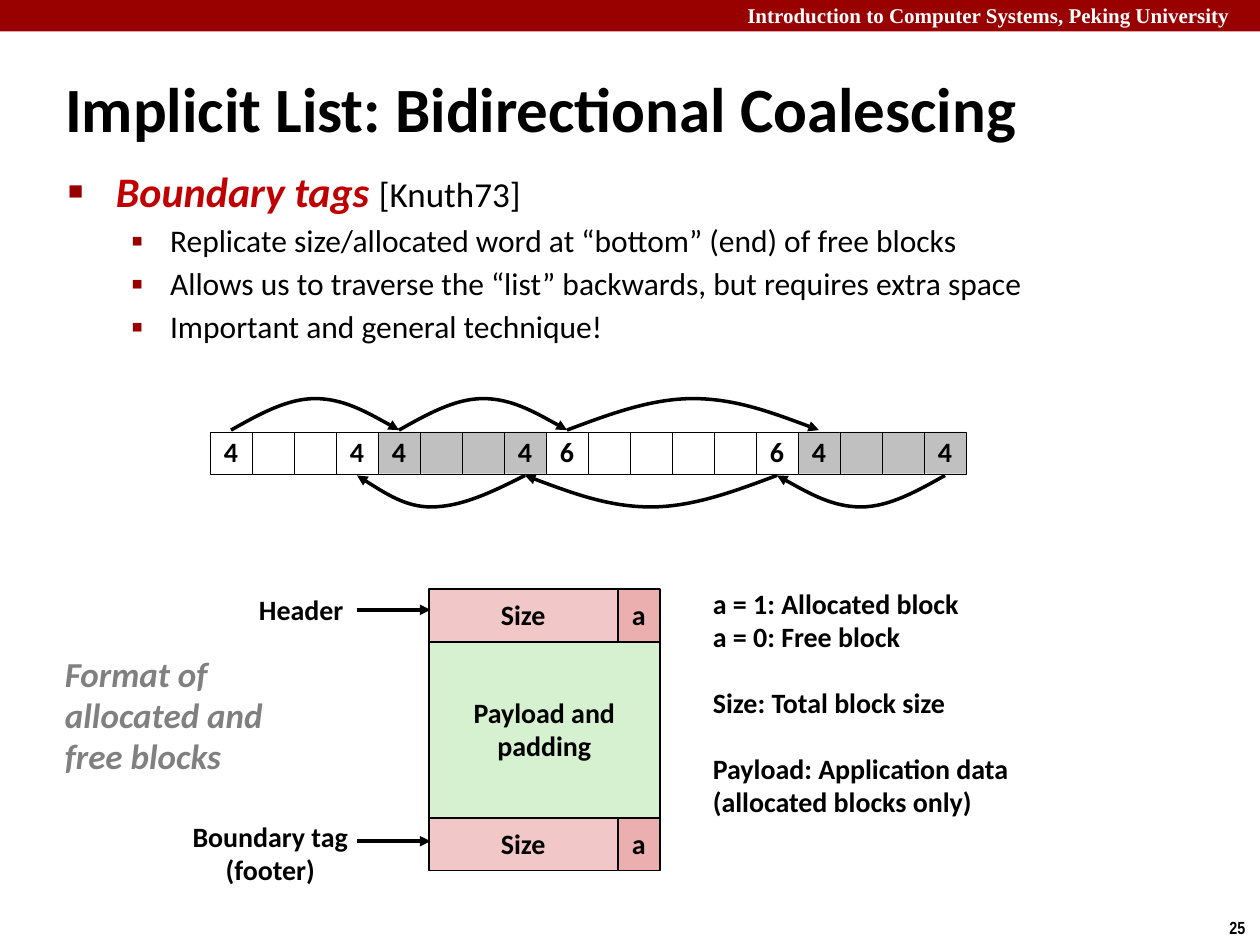
from dataclasses import dataclass

from lxml import etree
from pptx import Presentation
from pptx.dml.color import RGBColor
from pptx.enum.shapes import MSO_CONNECTOR, MSO_SHAPE
from pptx.enum.text import MSO_ANCHOR, MSO_AUTO_SIZE, PP_ALIGN
from pptx.oxml.ns import qn
from pptx.util import Inches, Pt

RECT, STRAIGHT = MSO_SHAPE.RECTANGLE, MSO_CONNECTOR.STRAIGHT
LEFT, CENTER = PP_ALIGN.LEFT, PP_ALIGN.CENTER
TOP, MIDDLE = MSO_ANCHOR.TOP, MSO_ANCHOR.MIDDLE
NO_FIT, GROW = MSO_AUTO_SIZE.NONE, MSO_AUTO_SIZE.SHAPE_TO_FIT_TEXT

BLACK = RGBColor(0x00, 0x00, 0x00)
WHITE = RGBColor(0xFF, 0xFF, 0xFF)
GRAY = RGBColor(0x80, 0x80, 0x80)
SILVER = RGBColor(0xC0, 0xC0, 0xC0)
DARK_RED = RGBColor(0x99, 0x00, 0x00)
RED = RGBColor(0xC0, 0x00, 0x00)
PINK = RGBColor(0xF1, 0xC7, 0xC7)
ROSE = RGBColor(0xEB, 0xAF, 0xAF)
GREEN = RGBColor(0xD5, 0xF1, 0xCF)

COLS = 30
LIST_COL, LIST_ROW = 5, 10.28
ARC_HEIGHT, ARC_GAP = 0.75, 0.04
FOOTER_PEAKS = (0.56, 0.5, 0.5)


@dataclass(frozen=True)
class Area:
    col: float
    row: float
    width: float
    height: float


@dataclass(frozen=True)
class Block:
    words: int
    fill: RGBColor


@dataclass(frozen=True)
class Field:
    text: str
    area: Area
    fill: RGBColor


@dataclass(frozen=True)
class Label:
    lines: tuple[str, ...]
    area: Area
    size: float = 16
    color: RGBColor = BLACK
    italic: bool = False
    align: int = LEFT
    spacing: float = 0.98
    font: str = "Calibri"
    gaps: tuple[int, ...] = ()


BLOCKS = [Block(4, WHITE), Block(4, SILVER), Block(6, WHITE), Block(4, SILVER)]
FIELDS = [
    Field("Size", Area(10.21, 14.03, 4.5, 1.25), PINK),
    Field("Payload and\npadding", Area(10.21, 15.28, 5.5, 4.22), GREEN),
    Field("a", Area(14.71, 14.03, 1, 1.25), ROSE),
    Field("Size", Area(10.21, 19.48, 4.5, 1.25), PINK),
    Field("a", Area(14.71, 19.48, 1, 1.25), ROSE),
]
MASTER_LABELS = [
    Label(("Introduction to Computer Systems, Peking University",),
          Area(17.5, -0.09, 12.72, 0.9), 12, WHITE, spacing=1, font="Times New Roman"),
    Label(("25",), Area(28.98, 21.69, 1.02, 0.81), 10, spacing=1, font="Arial Narrow"),
]
LABELS = [
    Label(("Format of", "allocated and", "free blocks"),
          Area(1.25, 15.43, 5.34, 3.27), 20, GRAY, italic=True),
    Label(("a = 1: Allocated block", "a = 0: Free block", "Size: Total block size",
           "Payload: Application data", "(allocated blocks only)"),
          Area(16.68, 13.86, 7.71, 6.66), gaps=(2, 3)),
    Label(("Header",), Area(5.87, 14.01, 2.64, 1.11)),
    Label(("Boundary tag", "(footer)"), Area(4.26, 19.4, 4.35, 1.89), align=CENTER),
]
POINTER_ROWS = (14.52, 20.03)
DETAILS = [
    "Replicate size/allocated word at “bottom” (end) of free blocks",
    "Allows us to traverse the “list” backwards, but requires extra space",
    "Important and general technique!",
]

prs = Presentation()
prs.slide_width, prs.slide_height = Inches(10), Inches(7.5)
s = prs.slides.add_slide(prs.slide_layouts[1])


def grid(n: float) -> int:
    return round(n * prs.slide_width / COLS)


def box(area: Area) -> tuple[int, ...]:
    return tuple(grid(n) for n in (area.col, area.row, area.width, area.height))


def place(sp, area: Area) -> None:
    sp.left, sp.top, sp.width, sp.height = box(area)


def add_text(p, text: str, *, size: float = 16, color: RGBColor = BLACK, bold: bool = True,
             italic: bool = False, font: str = "Calibri", align: int = LEFT,
             spacing: float = 0.98, before: float = 0) -> None:
    r = p.add_run()
    r.text = text
    r.font.name, r.font.size = font, Pt(size)
    r.font.bold, r.font.italic = bold, italic
    r.font.color.rgb = color
    p.alignment, p.line_spacing = align, spacing
    p.space_before, p.space_after = Pt(before), Pt(0)


def paragraph(tf, index: int):
    return tf.add_paragraph() if index else tf.paragraphs[0]


def add_bullet(p, char: str, percent: int, margin: float, hanging: float) -> None:
    pPr = p._p.get_or_add_pPr()
    pPr.set("marL", str(Inches(margin)))
    pPr.set("indent", str(-Inches(hanging)))
    color = etree.SubElement(pPr, qn("a:buClr"))
    etree.SubElement(color, qn("a:srgbClr"), val=str(DARK_RED))
    etree.SubElement(pPr, qn("a:buSzPct"), val=str(percent * 1000))
    etree.SubElement(pPr, qn("a:buChar"), char=char)


def add_box(shapes, area: Area, fill: RGBColor, line: float = 0, text: str = ""):
    sp = shapes.add_shape(RECT, *box(area))
    sp.shadow.inherit = False
    sp.fill.solid()
    sp.fill.fore_color.rgb = fill
    if line:
        sp.line.color.rgb, sp.line.width = BLACK, Pt(line)
    else:
        sp.line.fill.background()
    if text:
        tf = sp.text_frame
        tf.word_wrap, tf.vertical_anchor = False, MIDDLE
        for i, line_text in enumerate(text.split("\n")):
            add_text(paragraph(tf, i), line_text, align=CENTER)
    return sp


def add_label(label: Label):
    sp = s.shapes.add_textbox(*box(label.area))
    tf = sp.text_frame
    tf.word_wrap, tf.auto_size = False, GROW
    for i, text in enumerate(label.lines):
        add_text(paragraph(tf, i), text, size=label.size, color=label.color,
                 italic=label.italic, font=label.font, align=label.align,
                 spacing=label.spacing, before=19 if i in label.gaps else 0)
    return sp


def add_arrowhead(sp) -> None:
    sp.line.color.rgb, sp.line.width = BLACK, Pt(2)
    etree.SubElement(sp.line._get_or_add_ln(), qn("a:tailEnd"), type="triangle")


def add_pointer(row: float) -> None:
    sp = s.shapes.add_connector(STRAIGHT, grid(8.5), grid(row), grid(10.25), grid(row))
    add_arrowhead(sp)
    etree.SubElement(sp._element.spPr, qn("a:effectLst"))


def add_arc(shapes, start: float, end: float, row: float, rise: float,
            peak: float = 0.5) -> None:
    shares = [peak * i / 3 for i in range(4)] + [peak + (1 - peak) * i / 3 for i in (1, 2, 3)]
    lifts = (0, 0.5, 1, 1, 1, 0.5, 0)
    points = [(grid(start + share * (end - start)), grid(row + rise * lift))
              for share, lift in zip(shares, lifts)]
    builder = shapes.build_freeform(*points[0])
    builder.add_line_segments(points[1:], close=False)
    sp = builder.convert_to_shape()
    segments = list(sp._element.iter(qn("a:lnTo")))
    outline = segments[0].getparent()
    for i in range(0, len(segments), 3):
        curve = etree.SubElement(outline, qn("a:cubicBezTo"))
        for segment in segments[i:i + 3]:
            curve.append(segment[0])
            outline.remove(segment)
    sp.shadow.inherit = False
    sp.fill.background()
    add_arrowhead(sp)


def fill_placeholders() -> None:
    title, body = s.shapes.title, s.placeholders[1]
    place(title, Area(1.25, 1.62, 28.75, 1.89))
    place(body, Area(1.32, 4, 27.27, 4.35))
    for sp, anchor in ((title, MIDDLE), (body, TOP)):
        tf = sp.text_frame
        tf.word_wrap, tf.auto_size, tf.vertical_anchor = True, NO_FIT, anchor
    add_text(title.text_frame.paragraphs[0], "Implicit List: Bidirectional Coalescing",
             size=36, spacing=1)
    p = body.text_frame.paragraphs[0]
    add_bullet(p, "■", 60, 0.38, 0.38)
    add_text(p, "Boundary tags ", size=24, color=RED, italic=True)
    add_text(p, "[Knuth73]", size=20, bold=False, spacing=0.83)
    for detail in DETAILS:
        p = body.text_frame.add_paragraph()
        p.level = 1
        add_bullet(p, "▪", 110, 0.81, 0.31)
        add_text(p, detail, size=18, bold=False, spacing=0.88, before=5.6)


def draw_list() -> None:
    shapes = s.shapes.add_group_shape().shapes
    headers, footers, col = [], [], LIST_COL
    for block in BLOCKS:
        for i in range(block.words):
            tag = str(block.words) if i in (0, block.words - 1) else ""
            add_box(shapes, Area(col + i, LIST_ROW, 1, 1), block.fill, 0.25, tag)
        headers.append(col + 0.5)
        col += block.words
        footers.append(col - 0.5)
    for start, end in zip(headers, headers[1:]):
        add_arc(shapes, start, end, LIST_ROW - ARC_GAP, -ARC_HEIGHT)
    for end, start, peak in zip(footers, footers[1:], FOOTER_PEAKS):
        add_arc(shapes, start, end, LIST_ROW + 1 + ARC_GAP, ARC_HEIGHT, peak)


def draw_master() -> None:
    parts = [add_box(s.shapes, Area(0, 0, COLS, 0.75), DARK_RED)]
    parts += [add_label(label) for label in MASTER_LABELS]
    tree = prs.slide_master.element.cSld.spTree
    for sp in parts:
        tree.append(sp._element)


draw_master()
fill_placeholders()
for field in FIELDS:
    add_box(s.shapes, field.area, field.fill, 1, field.text)
for label in LABELS:
    add_label(label)
draw_list()
for row in POINTER_ROWS:
    add_pointer(row)
prs.save("out.pptx")
